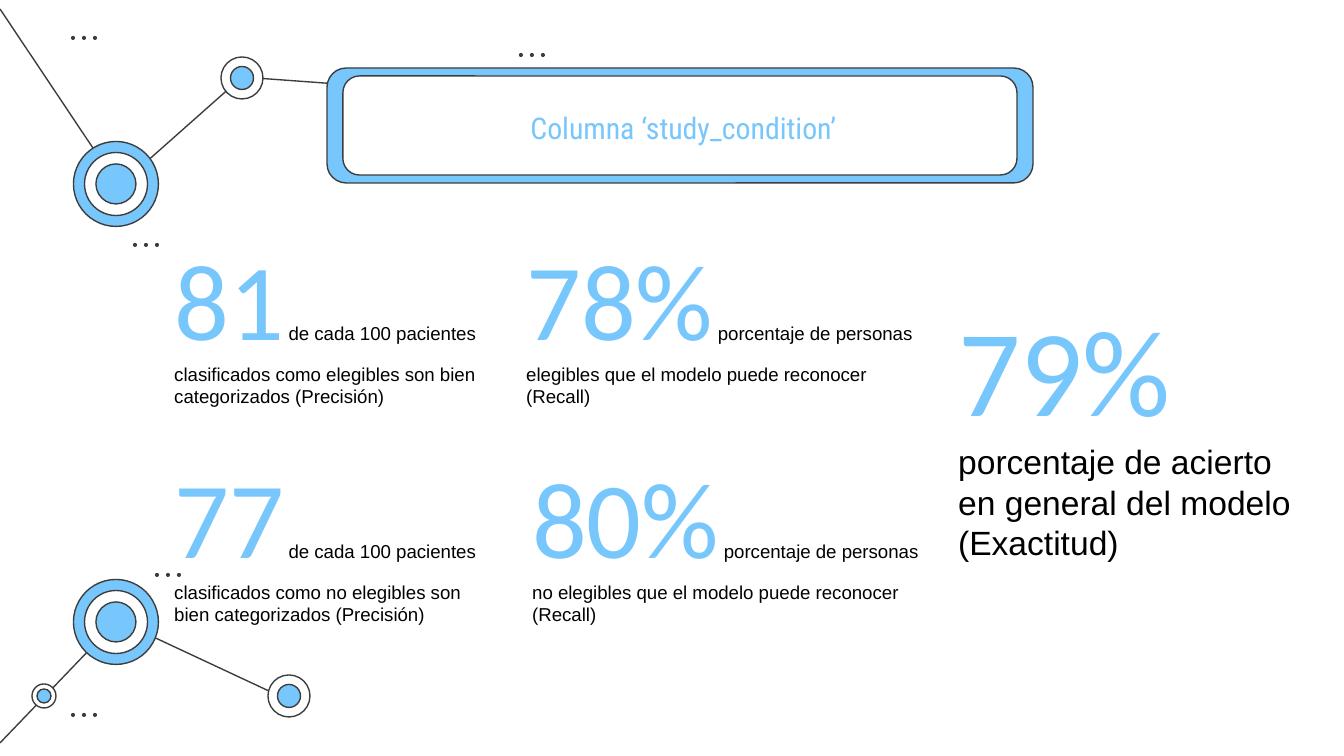
"""Build the slide with the model metrics for the study_condition column."""
from lxml import etree
from pptx import Presentation
from pptx.dml.color import RGBColor
from pptx.enum.shapes import MSO_CONNECTOR, MSO_SHAPE
from pptx.enum.text import MSO_ANCHOR, MSO_AUTO_SIZE, PP_ALIGN
from pptx.oxml.ns import qn
from pptx.util import Emu, Pt

BLUE = RGBColor(0x77, 0xC6, 0xFC)
DARK = RGBColor(0x3D, 0x3D, 0x3D)
WHITE = RGBColor(0xFF, 0xFF, 0xFF)
BLACK = RGBColor(0x00, 0x00, 0x00)
OVAL = MSO_SHAPE.OVAL
ROUNDED = MSO_SHAPE.ROUNDED_RECTANGLE
STRAIGHT = MSO_CONNECTOR.STRAIGHT
MIDDLE = MSO_ANCHOR.MIDDLE
CENTER = PP_ALIGN.CENTER
NO_FIT = MSO_AUTO_SIZE.NONE

SCALE = 914400 / 134.4
INSET = Emu(91440)
DOT, DOT_PITCH = 4, 11

prs = Presentation()
prs.slide_width = Emu(round(1344 * SCALE))
prs.slide_height = Emu(round(756 * SCALE))
s = prs.slides.add_slide(prs.slide_layouts[5])


def px(*values):
    return [Emu(round(v * SCALE)) for v in values]


def add_shape(kind, x, y, w, h, fill, outlined=True):
    sp = s.shapes.add_shape(kind, *px(x, y, w, h))
    sp.shadow.inherit = False
    sp.fill.solid()
    sp.fill.fore_color.rgb = fill
    if outlined:
        sp.line.color.rgb = DARK
        sp.line.width = Pt(0.75)
    else:
        sp.line.fill.background()


links = [
    (242, 77, 488, 95),
    (118, 187, 241, 78),
    (0, 9, 117, 184),
    (117, 620, 286, 699),
    (0, 743, 117, 621),
]
for link in links:
    line = s.shapes.add_connector(STRAIGHT, *px(*link))
    line.line.color.rgb = DARK
    line.line.width = Pt(0.75)
    etree.SubElement(line._element.spPr, qn("a:effectLst"))

big = [(85, BLUE), (63, WHITE), (40, BLUE)]
medium = [(42, WHITE), (23, BLUE)]
small = [(24, WHITE), (14, BLUE)]
nodes = [
    (116, 184, big),
    (242, 78, medium),
    (116, 622, big),
    (289, 696, medium),
    (44, 696, small),
]
for cx, cy, rings in nodes:
    for d, fill in rings:
        add_shape(OVAL, cx - d / 2, cy - d / 2, d, d, fill)

for x, y in [(519, 53), (71, 36), (133, 243), (71, 713), (155, 573)]:
    for i in range(3):
        add_shape(OVAL, x + i * DOT_PITCH, y, DOT, DOT, DARK, outlined=False)

add_shape(ROUNDED, 327, 68, 706, 115, BLUE)
add_shape(ROUNDED, 343, 76, 674, 99, WHITE)

title = s.shapes.title
title.left, title.top, title.width, title.height = px(347, 83, 673, 90)
s.shapes._spTree.append(title._element)
tf = title.text_frame
tf.auto_size = NO_FIT
tf.word_wrap = True
tf.vertical_anchor = MIDDLE
tf.margin_left = tf.margin_top = tf.margin_right = tf.margin_bottom = INSET
p = tf.paragraphs[0]
p.alignment = CENTER
r = p.add_run()
r.text = "Columna ‘study_condition’"
r.font.size = Pt(16)
r.font.name = "Roboto Condensed"
r.font.color.rgb = BLUE

metrics = [
    (161, 219, 344, 204, "81", 58, 10,
     "de cada 100 pacientes clasificados como elegibles son bien categorizados (Precisión)"),
    (161, 437, 351, 204, "77", 58, 10,
     "de cada 100 pacientes clasificados como no elegibles son bien categorizados (Precisión)"),
    (513, 219, 419, 204, "78%", 58, 10,
     "porcentaje de personas elegibles que el modelo puede reconocer (Recall)"),
    (519, 437, 419, 204, "80%", 58, 10,
     "porcentaje de personas no elegibles que el modelo puede reconocer (Recall)"),
    (945, 280, 376, 298, "79%", 66, 18,
     "porcentaje de acierto en general del modelo (Exactitud)"),
]
for x, y, w, h, figure, figure_size, size, caption in metrics:
    tf = s.shapes.add_textbox(*px(x, y, w, h)).text_frame
    tf.word_wrap = True
    tf.margin_left = tf.margin_top = tf.margin_right = tf.margin_bottom = INSET
    p = tf.paragraphs[0]
    runs = [
        (figure, figure_size, "Calibri", BLUE),
        (" ", size - 1, "Arial", BLACK),
        (caption, size, "Arial", BLACK),
    ]
    for text, points, font, color in runs:
        r = p.add_run()
        r.text = text
        r.font.size = Pt(points)
        r.font.name = font
        r.font.color.rgb = color

prs.save("out.pptx")
